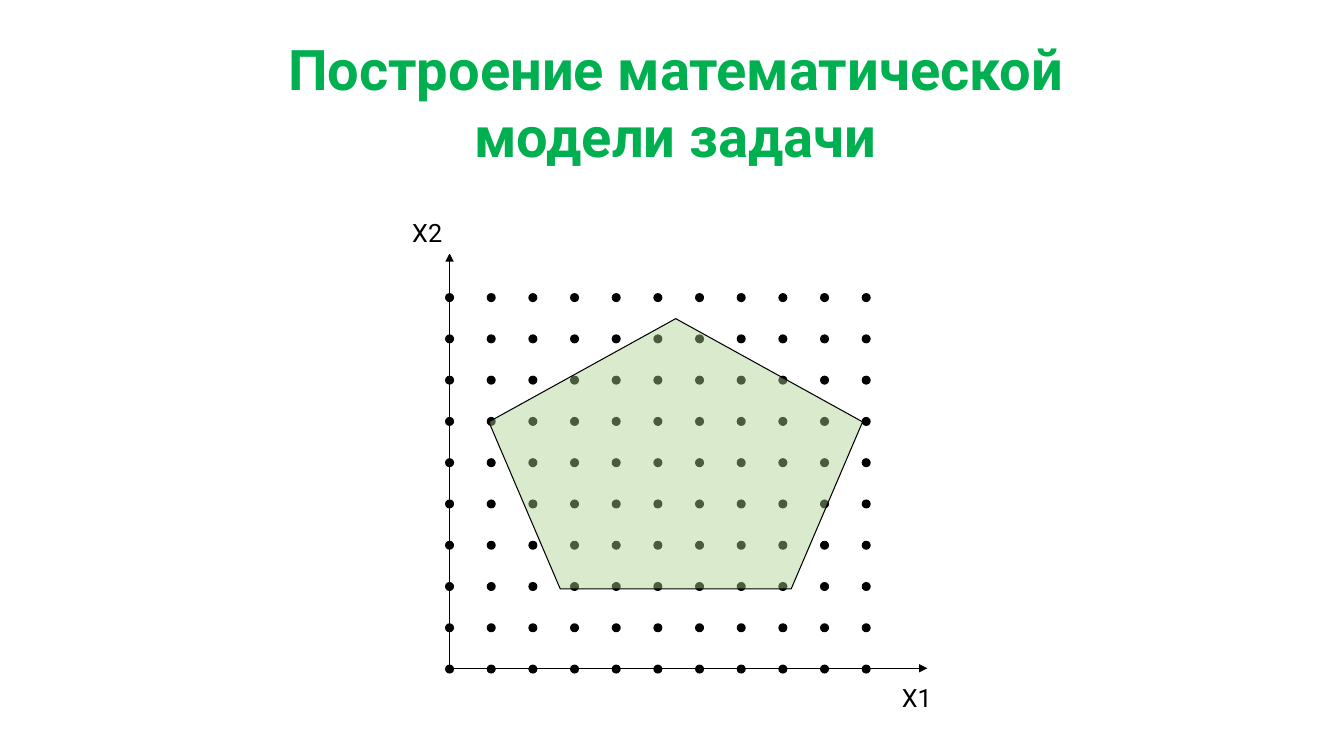
from itertools import product

from lxml import etree
from pptx import Presentation
from pptx.dml.color import RGBColor
from pptx.enum.shapes import MSO_CONNECTOR, MSO_SHAPE
from pptx.enum.text import MSO_ANCHOR, MSO_AUTO_SIZE, PP_ALIGN
from pptx.oxml.ns import qn
from pptx.util import Cm, Pt

STRAIGHT = MSO_CONNECTOR.STRAIGHT
OVAL, PENTA = MSO_SHAPE.OVAL, MSO_SHAPE.REGULAR_PENTAGON
TOP, CENTER, FIXED = MSO_ANCHOR.TOP, PP_ALIGN.CENTER, MSO_AUTO_SIZE.NONE

BLACK = RGBColor(0x00, 0x00, 0x00)
WHITE = RGBColor(0xFF, 0xFF, 0xFF)
GREEN = RGBColor(0x00, 0xB0, 0x50)
LIGHT = RGBColor(0xA9, 0xD1, 0x8E)
FONT = "Roboto"
THIN = Pt(0.75)
COUNT_X, COUNT_Y = 11, 10
STEP_X, STEP_Y = 1.05, 1.04
DOT = 0.2


def style(para, size, color, bold=False):
    """Set the font of a whole paragraph."""
    font = para.font
    font.name, font.size, font.bold = FONT, Pt(size), bold
    font.color.rgb = color


def add_title(slide, left, top, width, height):
    """Fill and place the title placeholder."""
    title = slide.shapes.title
    title.left, title.top, title.width, title.height = map(
        Cm, (left, top, width, height))
    frame = title.text_frame
    frame.text = "Построение математической модели задачи"
    frame.word_wrap, frame.auto_size = True, FIXED
    frame.vertical_anchor = TOP
    para = frame.paragraphs[0]
    para.alignment = CENTER
    style(para, 40, GREEN, bold=True)


def add_axis(group, left, base, right, top):
    """Draw an arrow from the origin to the given end."""
    axis = group.shapes.add_connector(
        STRAIGHT, Cm(left), Cm(base), Cm(right), Cm(top))
    axis.line.color.rgb = BLACK
    axis.line.width = THIN
    tail = etree.SubElement(axis.line._get_or_add_ln(), qn("a:tailEnd"))
    tail.set("type", "triangle")
    etree.SubElement(axis._element.spPr, qn("a:effectLst"))


def add_form(group, kind, left, top, width, height, color):
    """Draw a filled shape with a thin black outline."""
    form = group.shapes.add_shape(
        kind, Cm(left), Cm(top), Cm(width), Cm(height))
    form.shadow.inherit = False
    form.fill.solid()
    form.fill.fore_color.rgb = color
    form.line.color.rgb = BLACK
    form.line.width = THIN
    return form


def add_label(group, left, top, text):
    """Write the name of an axis on a white field."""
    label = group.shapes.add_textbox(Cm(left), Cm(top), Cm(2.08), Cm(1.04))
    label.fill.solid()
    label.fill.fore_color.rgb = WHITE
    frame = label.text_frame
    frame.word_wrap = True
    frame.text = text
    style(frame.paragraphs[0], 18, BLACK)


def add_graph(slide, left, top, width, height):
    """Draw axes, a grid of points and the feasible region in a box."""
    group = slide.shapes.add_group_shape()
    base = top + height
    add_axis(group, left, base, left + width, base)
    add_axis(group, left, base, left, top)
    for row, col in product(range(COUNT_Y), range(COUNT_X)):
        add_form(group, OVAL, left - DOT / 2 + col * STEP_X,
                 base - 0.08 - row * STEP_Y, DOT, DOT, BLACK)
    region = add_form(group, PENTA, left + 0.99, top + 1.65, 9.42, 6.81, LIGHT)
    color = region.fill._xPr.find(qn("a:solidFill"))[0]
    etree.SubElement(color, qn("a:alpha")).set("val", "44000")
    add_label(group, left + width - 0.89, base + 0.23, "X1")
    add_label(group, left - 1.19, top - 1.02, "X2")


def main():
    """Build and save the slide."""
    deck = Presentation()
    deck.slide_width, deck.slide_height = Cm(33.87), Cm(19.05)
    slide = deck.slides.add_slide(deck.slide_layouts[5])
    add_title(slide, 5.33, 0.74, 23.39, 3.68)
    add_graph(slide, 11.33, 6.38, 12.04, 10.46)
    deck.save("out.pptx")


if __name__ == "__main__":
    main()
